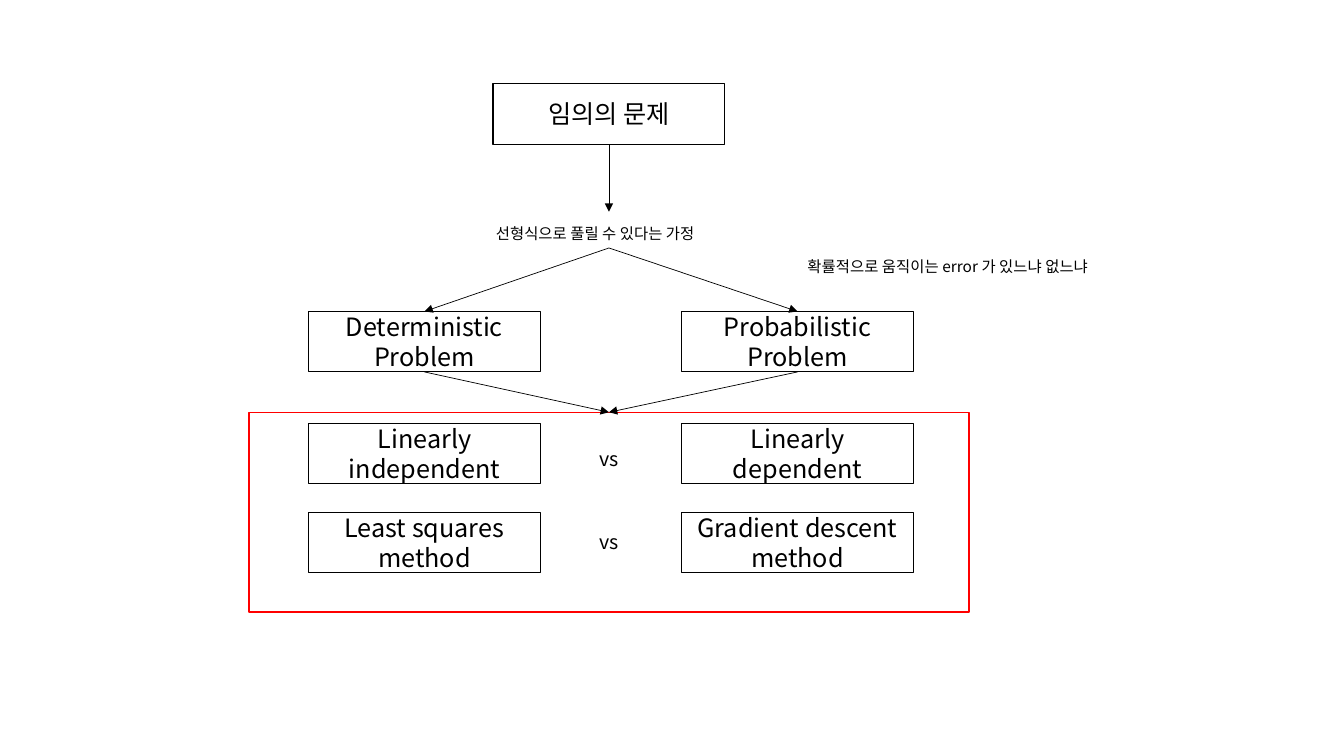
from dataclasses import dataclass

from lxml import etree
from pptx import Presentation
from pptx.dml.color import RGBColor
from pptx.enum.shapes import MSO_CONNECTOR, MSO_SHAPE
from pptx.enum.text import MSO_ANCHOR, MSO_AUTO_SIZE, PP_ALIGN
from pptx.oxml.ns import qn
from pptx.util import Inches, Pt

RECTANGLE = MSO_SHAPE.RECTANGLE
STRAIGHT = MSO_CONNECTOR.STRAIGHT
MIDDLE = MSO_ANCHOR.MIDDLE
GROW = MSO_AUTO_SIZE.SHAPE_TO_FIT_TEXT
LEFT, CENTER = PP_ALIGN.LEFT, PP_ALIGN.CENTER
TOP_SIDE, BOTTOM_SIDE = 0, 2


@dataclass(frozen=True)
class Theme:
    """Colours, type sizes and line widths of the slide."""
    font: str = "Noto Sans CJK KR"
    ink: RGBColor = RGBColor(0, 0, 0)
    highlight: RGBColor = RGBColor(255, 0, 0)
    node_size: int = 18
    versus_size: int = 14
    note_size: int = 11
    node_line: float = 0.75
    frame_line: float = 1
    arrow_line: float = 0.5


THEME = Theme()
NODE_WIDTH, NODE_HEIGHT = 2.3, 0.6
COLUMN_STEP = 3.7


def add_text(shape, text, size, align):
    """Write one styled run into a shape."""
    shape.text_frame.word_wrap = True
    para = shape.text_frame.paragraphs[0]
    para.alignment = align
    span = para.add_run()
    span.text = text
    span.font.name = THEME.font
    span.font.size = Pt(size)
    span.font.color.rgb = THEME.ink
    east_asian = etree.SubElement(span.font._element, qn("a:ea"))
    east_asian.set("typeface", THEME.font)


def add_outline(page, left, top, width, height, color, weight):
    """Draw an unfilled rectangle."""
    box = page.shapes.add_shape(
        RECTANGLE, Inches(left), Inches(top), Inches(width), Inches(height))
    box.shadow.inherit = False
    box.fill.background()
    box.line.color.rgb = color
    box.line.width = Pt(weight)
    return box


def add_node(page, left, top, text):
    """Draw a labelled box of the flow."""
    node = add_outline(page, left, top, NODE_WIDTH, NODE_HEIGHT,
                       THEME.ink, THEME.node_line)
    node.text_frame.vertical_anchor = MIDDLE
    add_text(node, text, THEME.node_size, CENTER)
    return node


def add_label(page, left, top, width, height, text, size):
    """Place free text that grows with its content."""
    label = page.shapes.add_textbox(
        Inches(left), Inches(top), Inches(width), Inches(height))
    add_text(label, text, size, LEFT)
    label.text_frame.auto_size = GROW
    return label


def add_arrow(page, source, target=None, drop=0):
    """Lead an arrow from a shape's bottom to a target's top, or straight down."""
    x = source.left + source.width // 2
    y = source.top + source.height
    arrow = page.shapes.add_connector(STRAIGHT, x, y, x, y + Inches(drop))
    arrow.begin_connect(source, BOTTOM_SIDE)
    if target is not None:
        arrow.end_connect(target, TOP_SIDE)
    arrow.line.color.rgb = THEME.ink
    arrow.line.width = Pt(THEME.arrow_line)
    etree.SubElement(arrow.line._get_or_add_ln(), qn("a:tailEnd")).set("type", "triangle")
    etree.SubElement(arrow._element.spPr, qn("a:effectLst"))


def add_assumption(page, left, top):
    """Build the starting problem and the assumption beneath it."""
    problem = add_node(page, left, top, "임의의 문제")
    add_arrow(page, problem, drop=0.67)
    return add_label(page, left - 0.07, top + 1.34, 2.44, 0.29,
                     "선형식으로 풀릴 수 있다는 가정", THEME.note_size)


def add_problem_types(page, left, top, assumption):
    """Build the two problem types that branch from the assumption."""
    names = ("Deterministic Problem", "Probabilistic Problem")
    nodes = [add_node(page, left + column * COLUMN_STEP, top, name)
             for column, name in enumerate(names)]
    for node in nodes:
        add_arrow(page, assumption, node)
    add_label(page, left + 4.85, top - 0.59, 3.42, 0.29,
              "확률적으로 움직이는 error 가 있느냐 없느냐", THEME.note_size)
    return nodes


def add_comparison(page, left, top, width, height):
    """Build the red frame with its two compared pairs."""
    pairs = (
        (0.11, 0.29, ("Linearly independent", "Linearly dependent")),
        (0.99, 1.12, ("Least squares method", "Gradient descent method")),
    )
    for node_drop, versus_drop, names in pairs:
        for column, name in enumerate(names):
            add_node(page, left + 0.59 + column * COLUMN_STEP, top + node_drop, name)
        add_label(page, left + 3.38, top + versus_drop, 0.39, 0.34,
                  "vs", THEME.versus_size)
    return add_outline(page, left, top, width, height,
                       THEME.highlight, THEME.frame_line)


def main():
    """Build the deck and save it."""
    deck = Presentation()
    deck.slide_width, deck.slide_height = Inches(13.33), Inches(7.5)
    page = deck.slides.add_slide(deck.slide_layouts[6])
    assumption = add_assumption(page, 4.89, 0.83)
    problem_types = add_problem_types(page, 3.06, 3.09, assumption)
    frame = add_comparison(page, 2.47, 4.09, 7.14, 1.98)
    for node in problem_types:
        add_arrow(page, node, frame)
    deck.save("out.pptx")


if __name__ == "__main__":
    main()
